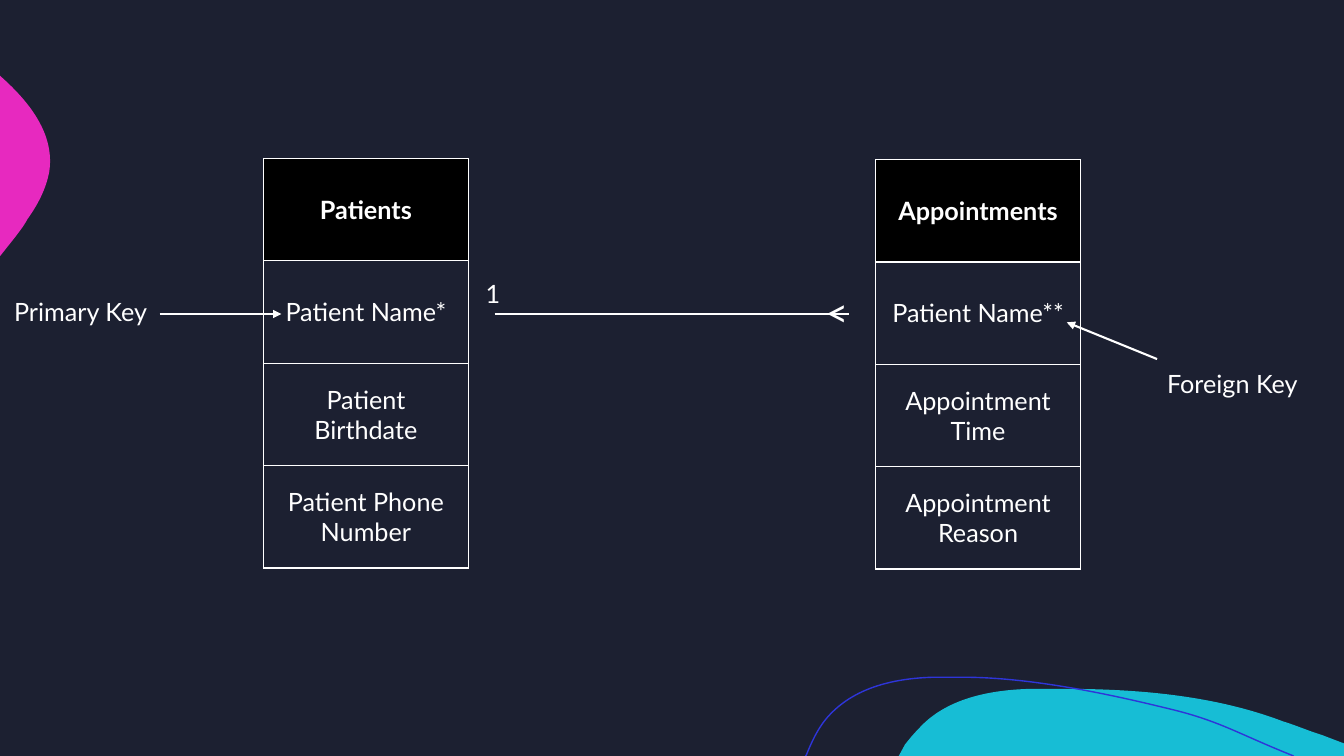
from dataclasses import dataclass

import pptx
import pptx.dml.color
import pptx.enum.shapes
import pptx.enum.text
import pptx.oxml
import pptx.oxml.ns
import pptx.util

RGBColor = pptx.dml.color.RGBColor
NAVY = RGBColor(0x1C, 0x20, 0x31)
BLACK = RGBColor(0x00, 0x00, 0x00)
WHITE = RGBColor(0xFF, 0xFF, 0xFF)
CYAN = RGBColor(0x17, 0xBD, 0xD5)
PINK = RGBColor(0xE7, 0x29, 0xBF)
INDIGO = RGBColor(0x2E, 0x35, 0xD9)

FONT = "Lato"
EMU_PER_PX = 9525
TABLE_W, TABLE_H = 195, 390

Point = tuple[int, int]


@dataclass
class Blob:
    start: Point
    segments: list[tuple[Point, ...]]  # one point is a line, three a Bézier curve
    fill: RGBColor | None = None
    line: RGBColor | None = None


@dataclass
class Entity:
    x: int
    y: int
    rows: list[str]


@dataclass
class Label:
    text: str
    x: int
    y: int
    w: int
    h: int = 38
    size: int = 18


@dataclass
class Link:
    start: Point
    end: Point
    arrow: bool = True


BLOBS = [
    Blob((1012, 656), [
        ((1083, 656), (1156, 662), (1222, 687)),
        ((1235, 691), (1246, 696), (1259, 700)),
        ((1280, 708),), ((1280, 720),), ((856, 720),), ((862, 709),),
        ((866, 704), (870, 699), (875, 694)),
        ((901, 665), (943, 657), (982, 656)),
        ((992, 656), (1001, 656), (1012, 656)),
    ], fill=CYAN),
    Blob((0, 72), [
        ((1, 73),),
        ((29, 98), (52, 128), (47, 163)),
        ((44, 180), (36, 195), (26, 209)),
        ((23, 215), (16, 224), (8, 234)),
        ((0, 244),),
    ], fill=PINK),
    Blob((767, 720), [
        ((768, 719),),
        ((774, 704), (781, 690), (791, 680)),
        ((816, 654), (853, 646), (889, 645)),
        ((917, 645),),
        ((981, 645), (1056, 661), (1109, 674)),
        ((1161, 686), (1177, 698), (1232, 720)),
    ], line=INDIGO),
]

ENTITIES = [
    Entity(251, 151, ["Patients", "Patient Name*", "Patient Birthdate",
                      "Patient Phone Number"]),
    Entity(834, 152, ["Appointments", "Patient Name**", "Appointment Time",
                      "Appointment Reason"]),
]

LINKS = [
    Link((471, 299), (809, 299), arrow=False),
    Link((152, 299), (268, 299)),
    Link((1102, 342), (1016, 307)),
]

LABELS = [
    Label("1", 453, 260, 34),
    Label("<", 777, 270, 44, 55, 28),
    Label("Primary Key", 4, 277, 148),
    Label("Foreign Key", 1102, 346, 151),
]


def px(n: int) -> int:
    return n * EMU_PER_PX


def set_font(p, size: int = 18, bold: bool = False) -> None:
    p.font.name = FONT
    p.font.size = pptx.util.Pt(size)
    p.font.bold = bold
    p.font.color.rgb = WHITE


def bend_segments(sp, segments: list[tuple[Point, ...]]) -> None:
    """Turn the straight segments that have control points into curves."""
    qn = pptx.oxml.ns.qn
    lines = list(sp._element.iter(qn("a:lnTo")))
    for element, segment in zip(lines, segments):
        if len(segment) == 1:
            continue
        element.tag = qn("a:cubicBezTo")
        for i, (x, y) in enumerate(segment[:-1]):
            element.insert(i, pptx.oxml.parse_xml(
                f'<a:pt {pptx.oxml.ns.nsdecls("a")} '
                f'x="{px(x) - sp.left}" y="{px(y) - sp.top}"/>'))


def add_blob(s, blob: Blob) -> None:
    fb = s.shapes.build_freeform(*blob.start, scale=EMU_PER_PX)
    fb.add_line_segments([segment[-1] for segment in blob.segments],
                         close=blob.fill is not None)
    sp = fb.convert_to_shape()
    # Path units follow the shape's own size, so rescale them to EMU
    for node in sp._element.iter(pptx.oxml.ns.qn("a:path"), pptx.oxml.ns.qn("a:pt")):
        for name, value in node.attrib.items():
            node.set(name, str(px(int(value))))
    bend_segments(sp, blob.segments)
    sp.shadow.inherit = False
    if blob.fill is None:
        sp.fill.background()
    else:
        sp.fill.solid()
        sp.fill.fore_color.rgb = blob.fill
    if blob.line is None:
        sp.line.fill.background()
    else:
        sp.line.color.rgb = blob.line
        sp.line.width = pptx.util.Pt(1)


def add_borders(cell) -> None:
    tc_pr = cell._tc.get_or_add_tcPr()
    for side in ("lnL", "lnR", "lnT", "lnB"):
        tc_pr.append(pptx.oxml.parse_xml(
            f'<a:{side} {pptx.oxml.ns.nsdecls("a")} w="{pptx.util.Pt(1)}">'
            f'<a:solidFill><a:srgbClr val="{WHITE}"/></a:solidFill></a:{side}>'))


def add_entity(s, entity: Entity) -> None:
    table = s.shapes.add_table(len(entity.rows), 1, px(entity.x), px(entity.y),
                               px(TABLE_W), px(TABLE_H)).table
    table.first_row = table.horz_banding = False
    for i, text in enumerate(entity.rows):
        header = i == 0
        cell = table.cell(i, 0)
        cell.text = text
        cell.vertical_anchor = pptx.enum.text.MSO_ANCHOR.MIDDLE
        p = cell.text_frame.paragraphs[0]
        p.alignment = pptx.enum.text.PP_ALIGN.CENTER
        set_font(p, bold=header)
        add_borders(cell)
        if header:
            cell.fill.solid()
            cell.fill.fore_color.rgb = BLACK
        else:
            cell.fill.background()


def add_link(s, link: Link) -> None:
    cx = s.shapes.add_connector(pptx.enum.shapes.MSO_CONNECTOR.STRAIGHT,
                                *map(px, link.start + link.end))
    cx.line.color.rgb = WHITE
    cx.line.width = pptx.util.Pt(1.5)
    if link.arrow:
        cx.line._get_or_add_ln().append(pptx.oxml.parse_xml(
            f'<a:tailEnd {pptx.oxml.ns.nsdecls("a")} type="triangle"/>'))
    cx._element.spPr.append(pptx.oxml.parse_xml(
        f'<a:effectLst {pptx.oxml.ns.nsdecls("a")}/>'))


def add_label(s, label: Label) -> None:
    tf = s.shapes.add_textbox(*map(px, (label.x, label.y, label.w, label.h))).text_frame
    tf.word_wrap = False
    tf.auto_size = pptx.enum.text.MSO_AUTO_SIZE.SHAPE_TO_FIT_TEXT
    tf.text = label.text
    set_font(tf.paragraphs[0], label.size)


def main() -> None:
    prs = pptx.Presentation()
    prs.slide_width, prs.slide_height = px(1280), px(720)
    s = prs.slides.add_slide(prs.slide_layouts[6])
    s.background.fill.solid()
    s.background.fill.fore_color.rgb = NAVY
    for blob in BLOBS:
        add_blob(s, blob)
    # Database tables
    for entity in ENTITIES:
        add_entity(s, entity)
    # Relationship line and key pointers
    for link in LINKS:
        add_link(s, link)
    # Cardinality marks and key names
    for label in LABELS:
        add_label(s, label)
    prs.save("out.pptx")


if __name__ == "__main__":
    main()
